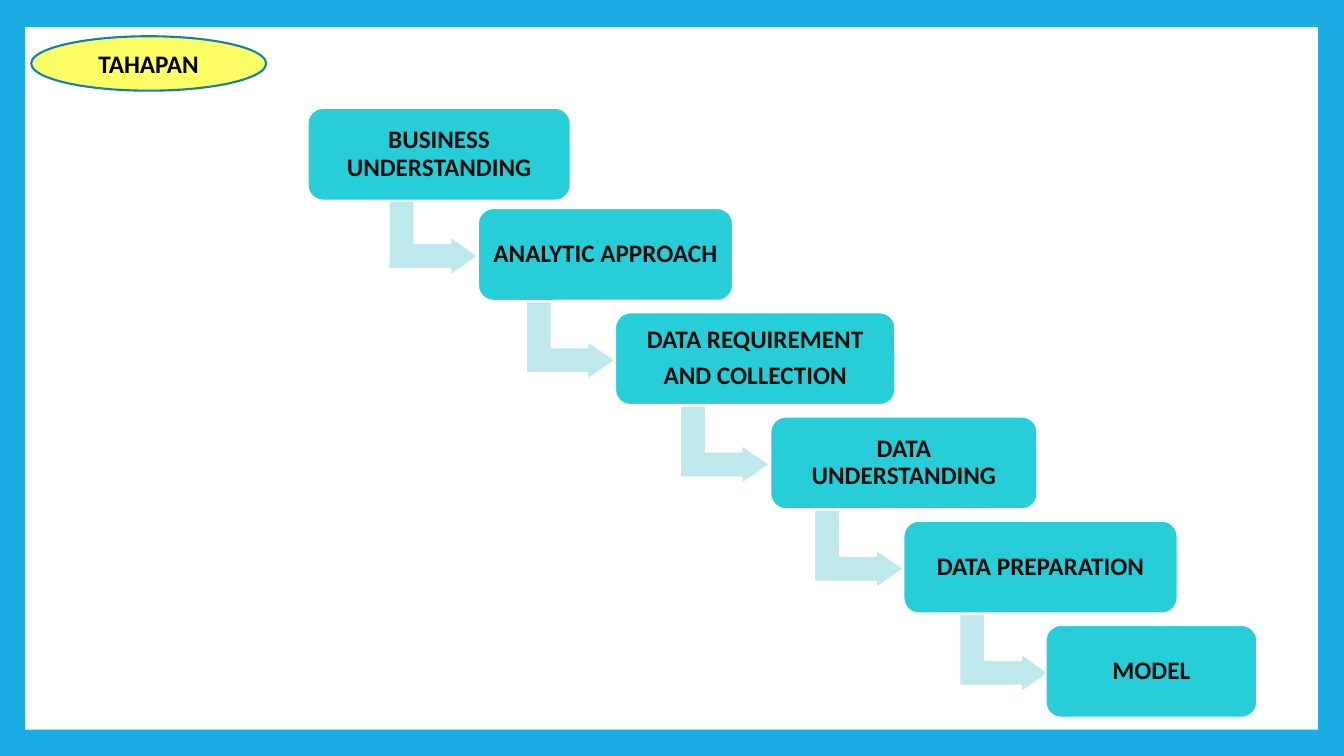
"""Build the TAHAPAN slide: a staircase of project stages joined by bent arrows."""
from pptx import Presentation
from pptx.dml.color import RGBColor
from pptx.enum.shapes import MSO_SHAPE
from pptx.enum.text import MSO_ANCHOR, PP_ALIGN
from pptx.util import Inches, Pt

HEADING = "TAHAPAN"
STAGES = [
    {"label": "BUSINESS UNDERSTANDING", "left": 3.05, "width": 2.61, "arrow": 3.91, "nudge": 0.04},
    {"label": "ANALYTIC APPROACH", "left": 4.74, "width": 2.53, "arrow": 5.27},
    {"label": "DATA REQUIREMENT\nAND COLLECTION", "left": 6.1, "width": 2.78, "arrow": 6.8},
    {"label": "DATA UNDERSTANDING", "left": 7.64, "width": 2.65, "arrow": 8.13},
    {"label": "DATA PREPARATION", "left": 8.96, "width": 2.72, "arrow": 9.57},
    {"label": "MODEL", "left": 10.37, "width": 2.1},
]
THEME = {
    "border": "1CADE4", "panel": "FFFFFF", "stage": "27CED7", "arrow": "BEE8EC",
    "heading": "FFFF66", "heading_line": "1580A9", "heading_text": "000000",
    "stage_text": "0D0D0D", "font": "Calibri", "size": 18, "line": 1.5,
}
STAGE_TOP, STAGE_HEIGHT, STEP = 1.03, 0.92, 1.034
ARROW_TOP, ARROW_WIDTH, ARROW_HEIGHT = 1.9, 0.78, 0.89
ARROW_BEND = (0.328, 0.25, 0.358)


def color(name):
    return RGBColor.from_string(THEME[name])


def add_block(preset, left, top, width, height, fill, line=None, adjust=()):
    block = slide.shapes.add_shape(
        preset, Inches(left), Inches(top), Inches(width), Inches(height))
    block.shadow.inherit = False
    block.fill.solid()
    block.fill.fore_color.rgb = color(fill)
    if line:
        block.line.color.rgb = color(line)
        block.line.width = Pt(THEME["line"])
    else:
        block.line.fill.background()
    for index, value in enumerate(adjust):
        block.adjustments[index] = value
    return block


def write(block, text, ink="stage_text", spacing=0.9, after=6.3, inset=0.07):
    frame = block.text_frame
    frame.word_wrap = True
    frame.vertical_anchor = MSO_ANCHOR.MIDDLE
    frame.margin_left = frame.margin_right = Inches(inset)
    frame.margin_top = frame.margin_bottom = Inches(inset)
    frame.text = text
    for paragraph in frame.paragraphs:
        paragraph.alignment = PP_ALIGN.CENTER
        paragraph.line_spacing = spacing
        paragraph.space_after = Pt(after)
        font = paragraph.runs[0].font
        font.name, font.size, font.bold = THEME["font"], Pt(THEME["size"]), True
        font.color.rgb = color(ink)


deck = Presentation()
deck.slide_width, deck.slide_height = Inches(13.33), Inches(7.5)
slide = deck.slides.add_slide(deck.slide_layouts[6])
slide.background.fill.solid()
slide.background.fill.fore_color.rgb = color("border")
add_block(MSO_SHAPE.RECTANGLE, 0.25, 0.27, 12.82, 6.97, "panel")

for level, stage in enumerate(STAGES):
    drop = level * STEP
    if "arrow" in stage:
        arrow = add_block(MSO_SHAPE.BENT_UP_ARROW, stage["arrow"], ARROW_TOP + drop,
                          ARROW_WIDTH, ARROW_HEIGHT, "arrow", "panel", ARROW_BEND)
        arrow.rotation = 90
    step = add_block(MSO_SHAPE.ROUNDED_RECTANGLE, stage["left"],
                     STAGE_TOP + drop + stage.get("nudge", 0),
                     stage["width"], STAGE_HEIGHT, "stage", "panel", (0.167,))
    write(step, stage["label"])

heading = add_block(MSO_SHAPE.OVAL, 0.31, 0.36, 2.33, 0.54, "heading", "heading_line")
write(heading, HEADING, ink="heading_text", spacing=1.0, after=0, inset=0.05)

deck.save("out.pptx")
